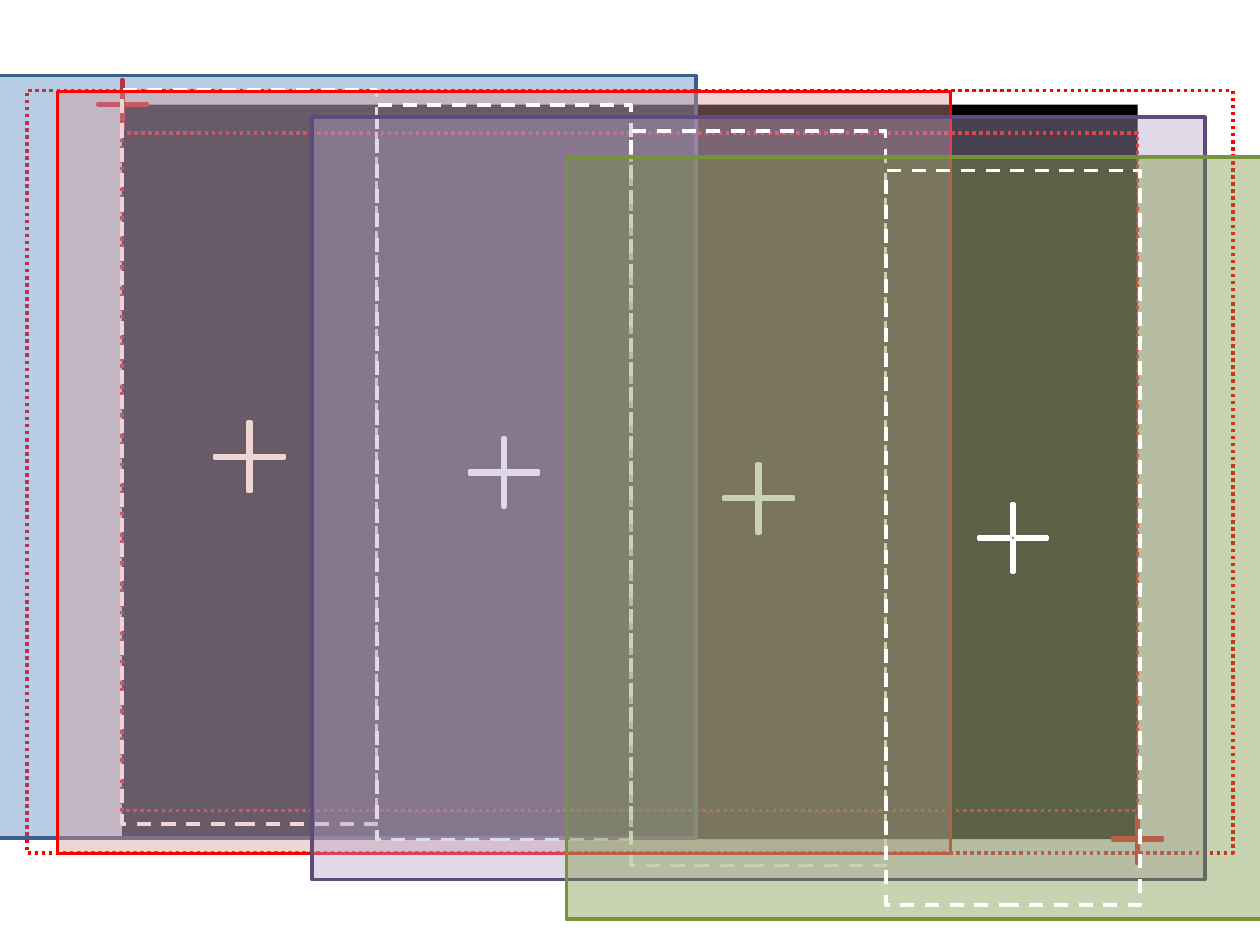
from dataclasses import dataclass
from typing import Optional

from lxml.etree import SubElement
from pptx import Presentation
from pptx.dml.color import RGBColor
from pptx.enum.dml import MSO_LINE
from pptx.enum.shapes import MSO_SHAPE
from pptx.oxml.ns import qn
from pptx.util import Inches, Pt

WIDE, HIGH = Inches(10), Inches(7.5)
HUES = {
    "black": "000000", "white": "FFFFFF", "red": "FF0000",
    "blue": "4F81BD", "navy": "3A5F8C", "rose": "D99694",
    "lilac": "B3A2C7", "plum": "604A7B", "green": "77933C",
}
STEP = 20.2  # column width, percent of the slide
DOTS, DASH = MSO_LINE.ROUND_DOT, MSO_LINE.DASH


@dataclass
class Box:
    """Size in percent of the slide's width and height."""
    wide: float
    high: float
    fill: Optional[str] = None
    line: Optional[str] = None
    dash: Optional[MSO_LINE] = None
    clear: bool = False


@dataclass
class Cross:
    """Arm span in percent of the slide's width; notch shapes the arms."""
    span: float
    line: str
    notch: float = 0.481


@dataclass
class Pane:
    mid: float  # centre, percent of the slide's height
    fill: str
    line: str


def paint(shape, fill: Optional[str], line: Optional[str]) -> None:
    shape.shadow.inherit = False
    if fill:
        shape.fill.solid()
        shape.fill.fore_color.rgb = RGBColor.from_string(HUES[fill])
    else:
        shape.fill.background()
    if line:
        shape.line.color.rgb = RGBColor.from_string(HUES[line])
        shape.line.width = Pt(2)
    else:
        shape.line.fill.background()


def place(group, kind: MSO_SHAPE, x: float, y: float, w: int, h: int):
    """Add a shape centred on x, y (percent of the slide)."""
    left = round(WIDE * x / 100 - w / 2)
    top = round(HIGH * y / 100 - h / 2)
    return group.shapes.add_shape(kind, left, top, w, h)


def draw_box(group, box: Box, x: float, y: float) -> None:
    w, h = round(WIDE * box.wide / 100), round(HIGH * box.high / 100)
    shape = place(group, MSO_SHAPE.RECTANGLE, x, y, w, h)
    paint(shape, box.fill, box.line)
    if box.dash:
        shape.line.dash_style = box.dash
    if box.clear:
        tint = shape._element.spPr.find(qn("a:solidFill"))[0]
        SubElement(tint, qn("a:alpha")).set("val", "40000")


def draw_cross(group, cross: Cross, x: float, y: float) -> None:
    side = round(WIDE * cross.span / 100)
    shape = place(group, MSO_SHAPE.CROSS, x, y, side, side)
    shape.adjustments[0] = cross.notch
    paint(shape, "blue", cross.line)


def draw_pane(group, pane: Pane, x: float) -> None:
    draw_box(group, Box(70.9, 80.67, pane.fill, pane.line, clear=True), x, pane.mid)
    draw_cross(group, Cross(4.7, "navy", 0.5), x, pane.mid)
    draw_box(group, Box(STEP, 77.73, line="white", dash=DASH), x, pane.mid)
    draw_cross(group, Cross(5.5, "white"), x, pane.mid)


def main() -> None:
    deck = Presentation()
    deck.slide_width, deck.slide_height = WIDE, HIGH
    slide = deck.slides.add_slide(deck.slide_layouts[6])

    # Black field, dotted limits and corner marks
    mid_x, mid_y = 50, 49.93
    field = Box(80.6, 77.73, "black")
    base = slide.shapes.add_group_shape()
    for box in (field, Box(95.7, 80.67, line="red", dash=DOTS),
                Box(80.6, 71.73, line="red", dash=DOTS)):
        draw_box(base, box, mid_x, mid_y)
    for side in (-0.5, 0.5):
        draw_cross(base, Cross(3.9, "red"),
                   mid_x + side * field.wide, mid_y + side * field.high)

    # Four panes, one column apart, each centred on its own height
    panes = (
        Pane(48.33, "blue", "navy"),
        Pane(50, "rose", "red"),
        Pane(52.73, "lilac", "plum"),
        Pane(56.93, "green", "green"),
    )
    for col, pane in enumerate(panes):
        draw_pane(slide.shapes.add_group_shape(), pane, 19.8 + col * STEP)

    deck.save("out.pptx")


if __name__ == "__main__":
    main()
